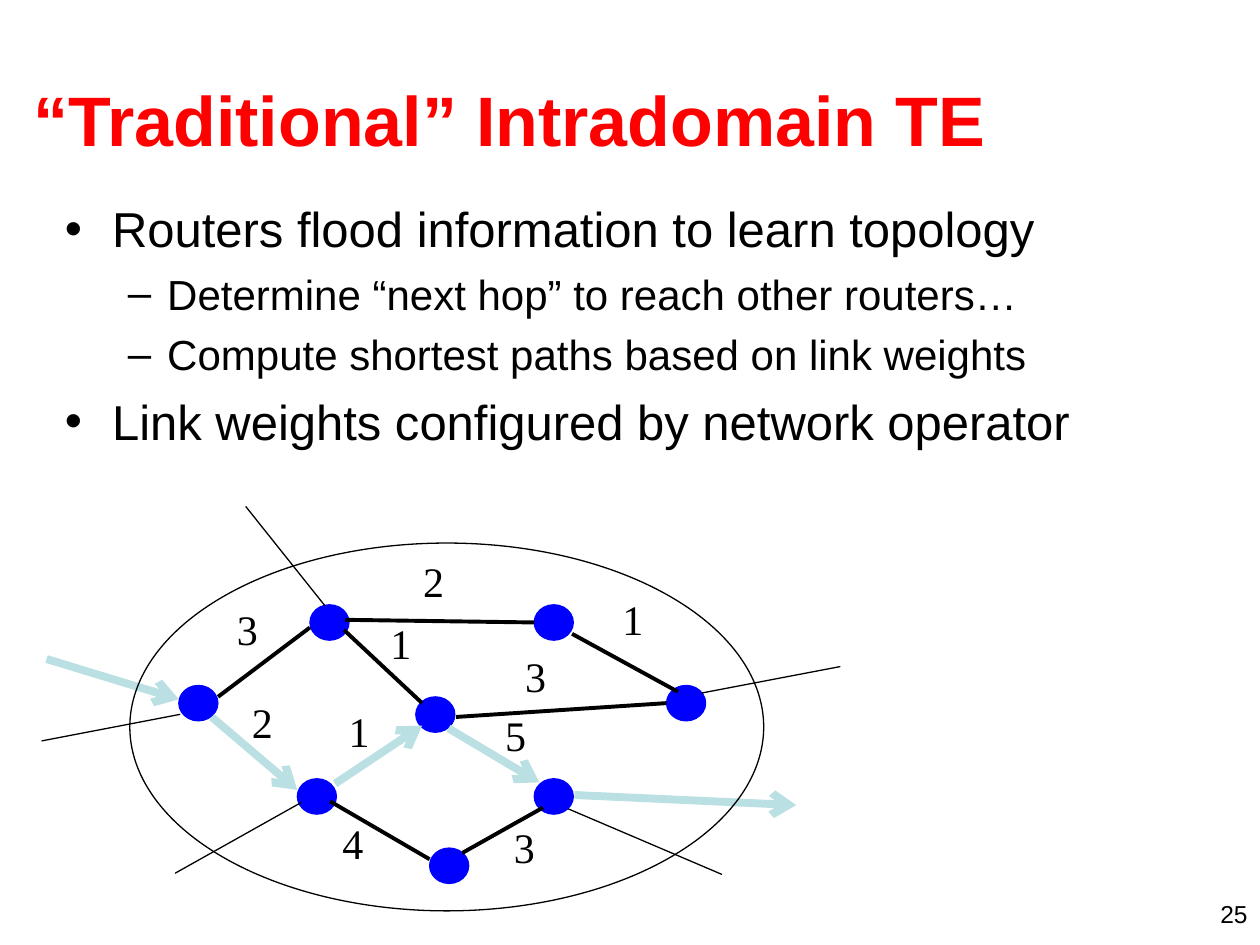
from lxml.etree import SubElement
from pptx import Presentation
from pptx.dml.color import RGBColor
from pptx.enum.shapes import MSO_CONNECTOR as CONN, MSO_SHAPE as SHAPE
from pptx.enum.text import MSO_ANCHOR as ANCHOR, MSO_AUTO_SIZE as FIT, PP_ALIGN as ALIGN
from pptx.oxml.ns import qn
from pptx.util import Pt

COLORS = {"title": "FF0000", "text": "000000", "router": "0000FF", "link": "000000", "path": "BBE0E3"}

BULLETS = [
    (0, "Routers flood information to learn topology"),
    (1, "Determine “next hop” to reach other routers…"),
    (1, "Compute shortest paths based on link weights"),
    (0, "Link weights configured by network operator"),
]
LEVELS = [
    dict(char="•", size=28, before=7, left=27, hang=27),
    dict(char="–", size=24, before=6, left=58.5, hang=22.5),
]
ROUTERS = [
    (102.2, 391.7), (169.9, 445), (177.1, 345.6), (237.6, 398.2),
    (305.3, 445), (305.3, 345.6), (245.5, 484.6), (380.9, 391.7),
]
LINKS = [
    (124.6, 398.2, 177.1, 358.6), (196.6, 360, 241.2, 401.8),
    (188.6, 457.9, 245.5, 491), (264.2, 487.4, 310.3, 461.5),
    (260.6, 409.7, 380.9, 401.8), (197.3, 354.2, 305.3, 355.7),
    (326.9, 362.2, 387.4, 395.3),
]
PATH = [
    (26.6, 376.6, 102.2, 399.6), (121, 409.7, 169.9, 451.4),
    (191.5, 447.8, 241.2, 414.7), (256.3, 416.2, 308.2, 447.1),
    (328.3, 454.3, 455, 460.1),
]
EXTERNAL = [
    (103, 408.2, 23.8, 423.4), (324.7, 462.2, 412.6, 499.7),
    (480.2, 380.9, 401, 396), (140.4, 289.4, 185.8, 346.3),
    (172.1, 458.6, 100.1, 499),
]
WEIGHTS = [
    ("3", 128.2, 341.3), ("2", 234.7, 313.9), ("2", 136.8, 394.6), ("1", 216, 349.2),
    ("1", 192.2, 399.6), ("3", 293, 367.9), ("1", 348.5, 335.5), ("4", 188.6, 463.7),
    ("5", 281.5, 401.8), ("3", 286.6, 465.8),
]


def rgb(name):
    """Return the named colour."""
    return RGBColor.from_string(COLORS[name])


def set_font(font, size, color="text", name="Arial", bold=False):
    """Format a font."""
    font.size, font.name, font.bold = Pt(size), name, bold
    font.color.rgb = rgb(color)


def add_text(s, text, x, y, w, h, align=ALIGN.LEFT, anchor=ANCHOR.TOP, wrap=True, **font):
    """Add a text box with one formatted paragraph."""
    tf = s.shapes.add_textbox(Pt(x), Pt(y), Pt(w), Pt(h)).text_frame
    tf.word_wrap, tf.vertical_anchor = wrap, anchor
    tf.auto_size = FIT.NONE if wrap else FIT.SHAPE_TO_FIT_TEXT
    p = tf.paragraphs[0]
    p.alignment = align
    r = p.add_run()
    r.text = text
    set_font(r.font, **font)


def add_bullets(s, items, x, y, w, h):
    """Add a two-level bulleted list."""
    tf = s.shapes.add_textbox(Pt(x), Pt(y), Pt(w), Pt(h)).text_frame
    tf.word_wrap = True
    for i, (level, text) in enumerate(items):
        style = LEVELS[level]
        p = tf.add_paragraph() if i else tf.paragraphs[0]
        p.level, p.line_spacing = level, 1.0
        p.space_before = Pt(style["before"] if i else 0)
        pPr = p._p.get_or_add_pPr()
        pPr.set("marL", str(Pt(style["left"])))
        pPr.set("indent", str(-Pt(style["hang"])))
        SubElement(pPr, qn("a:buFont"), typeface="Arial")
        SubElement(pPr, qn("a:buChar"), char=style["char"])
        r = p.add_run()
        r.text = text
        set_font(r.font, style["size"])


def add_ellipse(s, x, y, w, h, line, fill=None):
    """Add an ellipse with a thin outline."""
    sp = s.shapes.add_shape(SHAPE.OVAL, Pt(x), Pt(y), Pt(w), Pt(h))
    sp.shadow.inherit = False
    if fill:
        sp.fill.solid()
        sp.fill.fore_color.rgb = rgb(fill)
    else:
        sp.fill.background()
    sp.line.color.rgb = rgb(line)
    sp.line.width = Pt(0.75)


def add_line(s, ends, width, color="link", arrow=False):
    """Add a straight line, with an optional arrowhead at its end."""
    c = s.shapes.add_connector(CONN.STRAIGHT, *map(Pt, ends))
    c.line.color.rgb = rgb(color)
    c.line.width = Pt(width)
    if arrow:
        SubElement(c.line._get_or_add_ln(), qn("a:tailEnd"), type="arrow")
    SubElement(c._element.spPr, qn("a:effectLst"))


def add_network(s):
    """Draw the routers, weighted links and the chosen path."""
    for x, y in ROUTERS:
        add_ellipse(s, x, y, 22.3, 20.2, line="router", fill="router")
    for ends in LINKS:
        add_line(s, ends, 2.25)
    for ends in PATH:
        add_line(s, ends, 4.5, "path", arrow=True)
    for text, x, y in WEIGHTS:
        add_text(s, text, x, y, 26, 36, wrap=False, size=24, name="Times New Roman")
    add_ellipse(s, 74.2, 310.3, 362.2, 210.2, line="link")
    for ends in EXTERNAL:
        add_line(s, ends, 0.75)


def main():
    """Build and save the slide."""
    prs = Presentation()
    prs.slide_width, prs.slide_height = Pt(720), Pt(540)
    s = prs.slides.add_slide(prs.slide_layouts[6])
    add_text(s, "“Traditional” Intradomain TE", 12.2, 23, 690, 90,
             anchor=ANCHOR.MIDDLE, size=40, color="title", bold=True)
    add_bullets(s, BULLETS, 30, 110, 648, 158)
    add_network(s)
    add_text(s, "25", 552, 510, 168, 18, align=ALIGN.RIGHT, size=14)
    prs.save("out.pptx")


if __name__ == "__main__":
    main()
